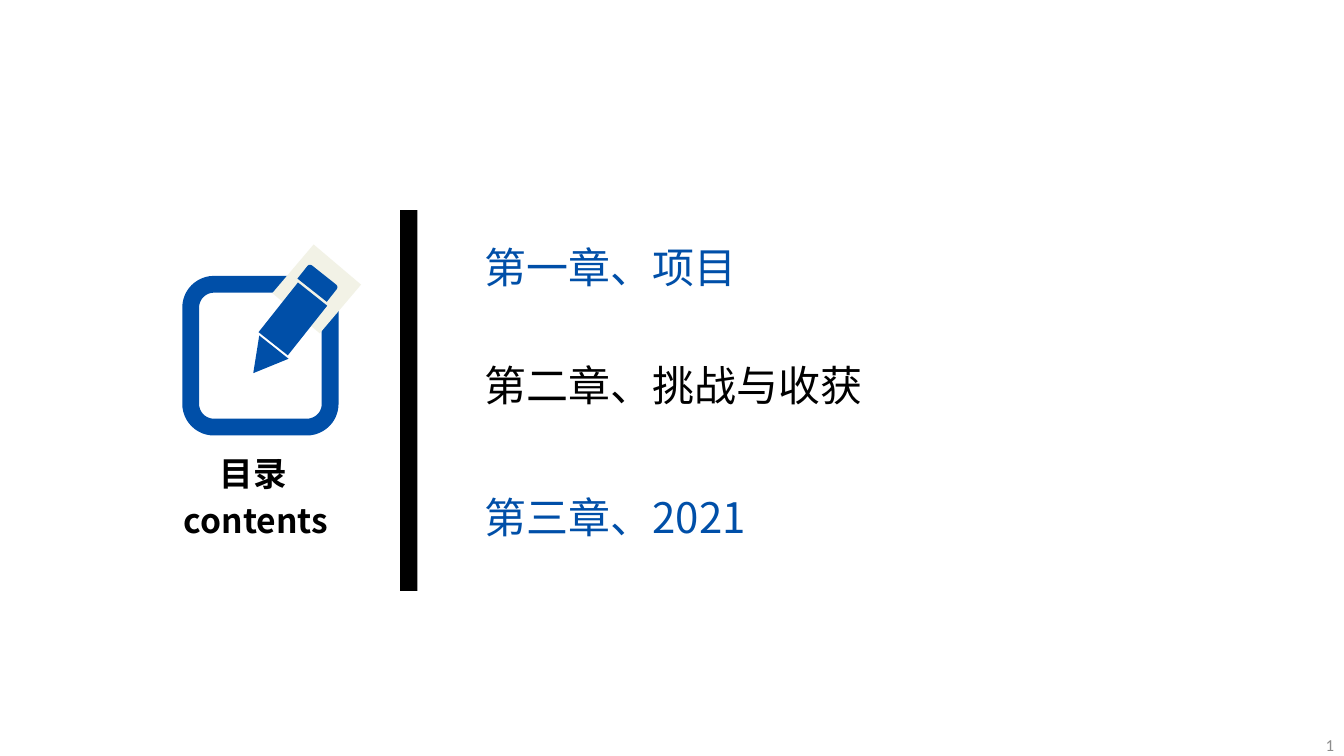
"""Contents slide: a pencil emblem, a dividing bar and three chapter lines."""
from dataclasses import dataclass
from typing import Optional

from lxml.etree import SubElement
from pptx import Presentation
from pptx.dml.color import RGBColor
from pptx.enum.shapes import MSO_SHAPE
from pptx.enum.text import MSO_ANCHOR, MSO_AUTO_SIZE, PP_ALIGN
from pptx.oxml.ns import qn
from pptx.util import Inches, Pt

COLUMNS, ROWS = 160, 90
BLUE, BLACK, CREAM, GREY = "004FA8", "000000", "F2F2E6", "8C8C8C"
CJK_FONT, NUMBER_FONT = "Noto Sans CJK SC", "Calibri"

deck = Presentation()
deck.slide_width, deck.slide_height = Inches(13.33), Inches(7.5)


@dataclass(frozen=True)
class Area:
    """A rectangle in grid columns and rows."""
    column: float
    row: float
    columns: float
    rows: float

    def lengths(self) -> tuple:
        """Return left, top, width and height in slide units."""
        across, down = deck.slide_width / COLUMNS, deck.slide_height / ROWS
        return (round(self.column * across), round(self.row * down),
                round(self.columns * across), round(self.rows * down))


@dataclass(frozen=True)
class Piece:
    """A preset shape with its place, turn and colours."""
    preset: MSO_SHAPE
    area: Area
    fill: Optional[str] = None
    outline: Optional[str] = None
    turn: float = 0


@dataclass(frozen=True)
class Chapter:
    """A line of the contents list."""
    heading: str
    row: float
    color: str


EMBLEM = [
    Piece(MSO_SHAPE.ROUNDED_RECTANGLE, Area(22.7, 33.85, 16.6, 17), outline=BLUE),
    Piece(MSO_SHAPE.RECTANGLE, Area(34, 30.6, 7.4, 7.6), CREAM, turn=40.3),
    Piece(MSO_SHAPE.ROUND_2_SAME_RECTANGLE, Area(35.65, 32.5, 4.45, 2.3), BLUE, turn=38.4),
    Piece(MSO_SHAPE.RECTANGLE, Area(32.65, 34.2, 4.45, 7.55), BLUE, turn=38.4),
    Piece(MSO_SHAPE.ISOSCELES_TRIANGLE, Area(29.15, 40.9, 4.45, 3.95), BLUE, turn=218.4),
]
DIVIDER = Piece(MSO_SHAPE.RECTANGLE, Area(47.65, 25, 2.05, 45.35), BLACK)
CHAPTERS = [
    Chapter("第一章、项目", 28.2, BLUE),
    Chapter("第二章、挑战与收获", 42.25, BLACK),
    Chapter("第三章、2021", 57.95, BLUE),
]


def rgb(value: str) -> RGBColor:
    """Turn a hex string into a colour."""
    return RGBColor.from_string(value)


def draw(shapes, piece: Piece) -> None:
    """Add one piece to a shape collection."""
    shape = shapes.add_shape(piece.preset, *piece.area.lengths())
    shape.rotation = piece.turn
    shape.shadow.inherit = False
    if piece.fill:
        shape.fill.solid()
        shape.fill.fore_color.rgb = rgb(piece.fill)
    else:
        shape.fill.background()
    if piece.outline:
        shape.line.color.rgb = rgb(piece.outline)
        shape.line.width = Pt(12)
    else:
        shape.line.fill.background()


def write(holder, text: str, area: Area, *, size: float, color: str = BLACK,
          font: str = CJK_FONT, bold: bool = False, align=PP_ALIGN.LEFT,
          anchor=MSO_ANCHOR.TOP, grow: bool = True, field: bool = False) -> None:
    """Place a text holder and fill it with one formatted line."""
    holder.left, holder.top, holder.width, holder.height = area.lengths()
    frame = holder.text_frame
    frame.word_wrap = True
    frame.auto_size = MSO_AUTO_SIZE.SHAPE_TO_FIT_TEXT if grow else MSO_AUTO_SIZE.NONE
    frame.vertical_anchor = anchor
    paragraph = frame.paragraphs[0]
    paragraph.alignment = align
    run = paragraph.add_run()
    run.text = text
    run.font.size, run.font.bold, run.font.name = Pt(size), bold, font
    run.font.color.rgb = rgb(color)
    SubElement(run.font._element, qn("a:ea"), typeface=font)
    if field:
        run._r.tag = qn("a:fld")
        run._r.set("id", "{B6F15528-21DE-4FAA-801E-634DDDAF4B2B}")
        run._r.set("type", "slidenum")


def main() -> None:
    """Build the slide and save it."""
    slide = deck.slides.add_slide(deck.slide_layouts[5])
    shapes = slide.shapes

    def textbox():
        return shapes.add_textbox(0, 0, 0, 0)

    emblem = shapes.add_group_shape()
    for piece in EMBLEM:
        draw(emblem.shapes, piece)
    write(shapes.title, "目录", Area(21.85, 53.3, 16.55, 6), size=24, bold=True,
          align=PP_ALIGN.CENTER)
    write(textbox(), "contents", Area(18.6, 58.9, 23.75, 6), size=24, bold=True,
          align=PP_ALIGN.CENTER)
    draw(shapes, DIVIDER)
    for chapter in CHAPTERS:
        write(textbox(), chapter.heading, Area(56.5, chapter.row, 86, 7.2),
              size=30, color=chapter.color)
    write(textbox(), "1", Area(149.9, 87.35, 10.1, 2.65), size=12, color=GREY,
          font=NUMBER_FONT, align=PP_ALIGN.RIGHT, anchor=MSO_ANCHOR.MIDDLE,
          grow=False, field=True)
    deck.save("out.pptx")


if __name__ == "__main__":
    main()
